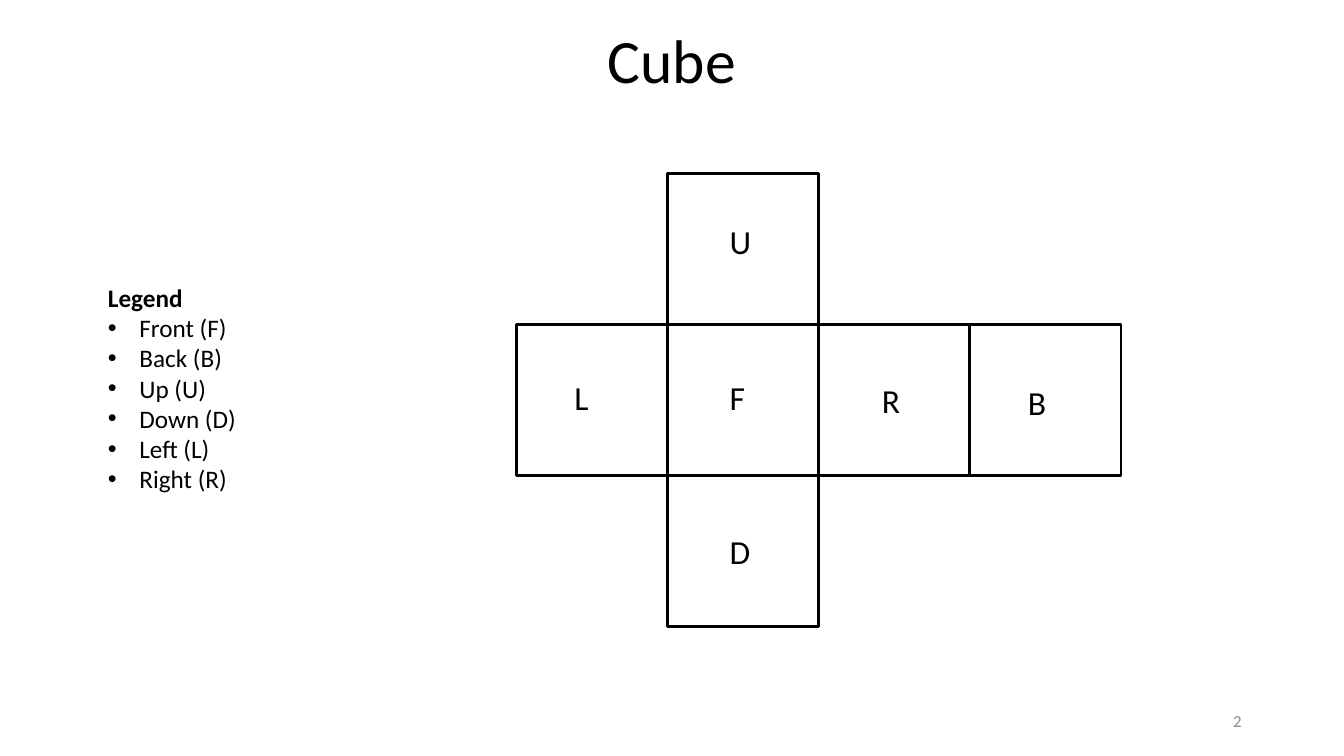
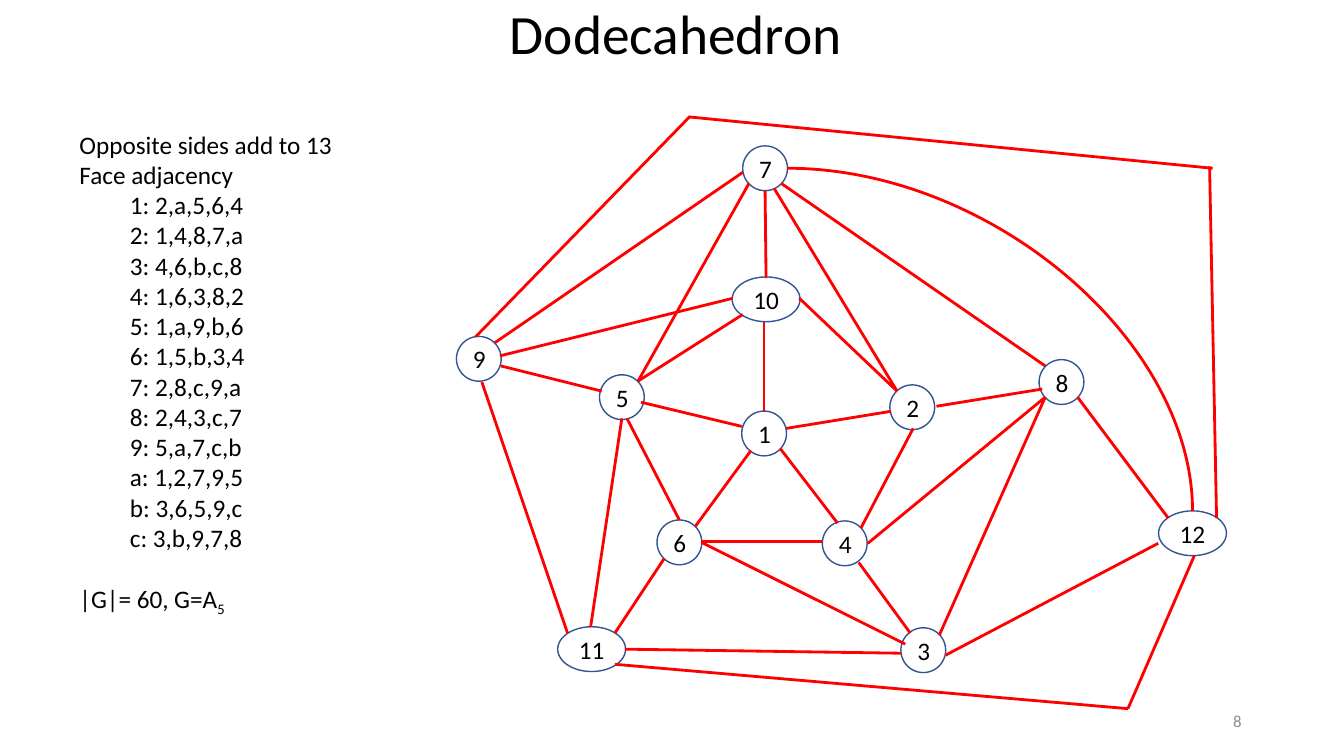
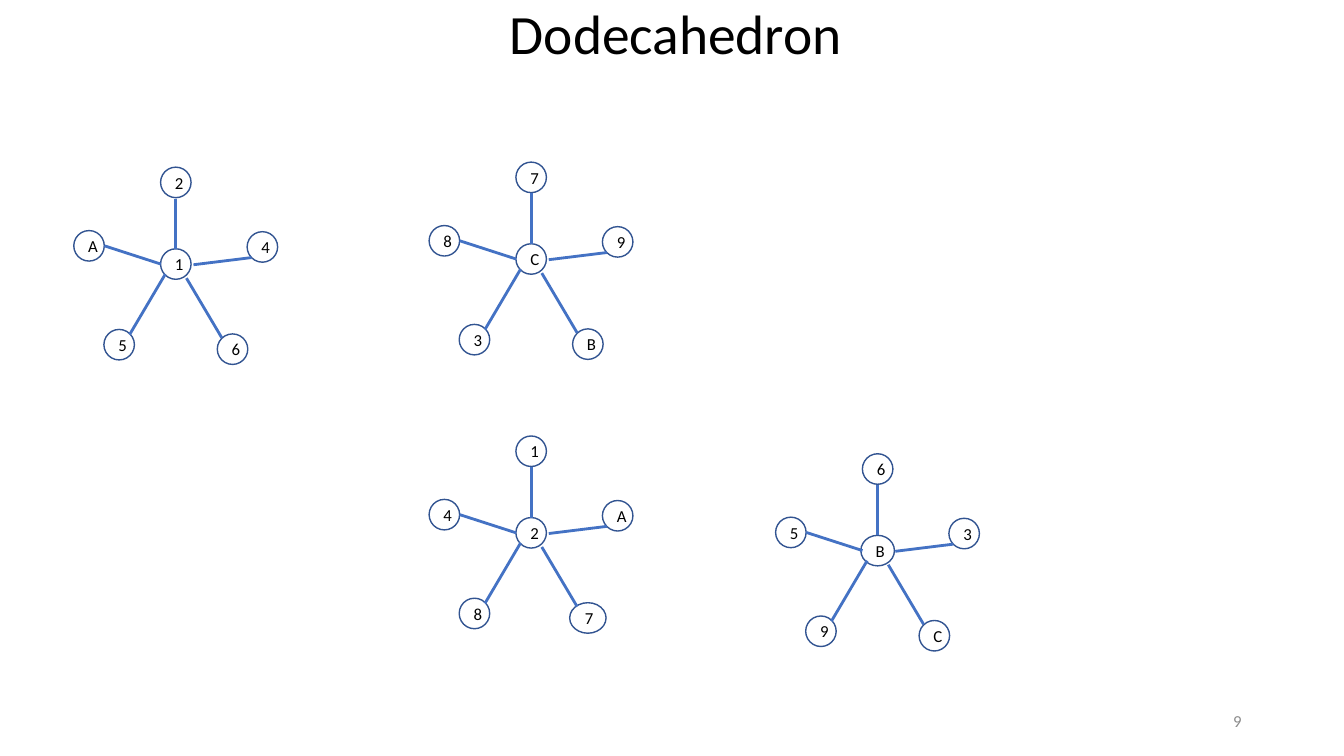
"""Build three slides on the cube and the dodecahedron."""
from lxml import etree
from pptx import Presentation
from pptx.dml.color import RGBColor
from pptx.enum import shapes as s, text as t
from pptx.oxml import ns
from pptx.util import Pt

FONT = "Calibri"
BLACK = RGBColor(0x00, 0x00, 0x00)
GREY = RGBColor(0x8C, 0x8C, 0x8C)
RED = RGBColor(0xFF, 0x00, 0x00)
BLUE = RGBColor(0x44, 0x72, 0xC4)
NAVY = RGBColor(0x32, 0x54, 0x91)

SIDE = 108
FACES = [
    ("F", 1, 1, 514, 265.7),
    ("R", 2, 1, 622.8, 267.8),
    ("L", 0, 1, 403.2, 265.7),
    ("U", 1, 0, 514, 154),
    ("D", 1, 2, 514, 375.8),
    ("B", 3, 1, 727.2, 269.3),
]
LEGEND = ["Front (F)", "Back (B)", "Up (U)", "Down (D)", "Left (L)", "Right (R)"]

PAIRS = [
    "1: 2,a,5,6,4", "2: 1,4,8,7,a", "3: 4,6,b,c,8", "4: 1,6,3,8,2",
    "5: 1,a,9,b,6", "6: 1,5,b,3,4", "7: 2,8,c,9,a", "8: 2,4,3,c,7",
    "9: 5,a,7,c,b", "a: 1,2,7,9,5", "b: 3,6,5,9,c", "c: 3,b,9,7,8",
]
NODES = [
    ("1", 545.8, 309.6), ("10", 547.2, 213.8), ("2", 651.6, 290.9),
    ("4", 603.4, 388.1), ("6", 485.3, 387.4), ("5", 444.2, 283.7),
    ("9", 342, 256.3), ("11", 422.6, 463.7), ("7", 546.5, 120.2),
    ("8", 758.2, 272.9), ("3", 659.5, 464.4), ("12", 851.8, 380.9),
]
EDGES = [
    (545.8, 229.7, 545.8, 293.8), (636.5, 293.8, 561.6, 306),
    (546.5, 136.1, 547.2, 198.7), (598.3, 373.7, 557.3, 320.4),
    (457.9, 287.3, 529.9, 304.6), (496.8, 375.8, 536.4, 321.8),
    (744.5, 277.9, 668.9, 290.2), (650.2, 452.2, 613.4, 401.8),
    (357.8, 261.4, 429.8, 279.4), (439.2, 452.2, 474.5, 398.9),
    (571, 213.1, 640.8, 279.4), (614.9, 377.3, 652.3, 306),
    (587.5, 386.6, 500.4, 386.6), (447.8, 298.8, 485.3, 371.5),
    (530.6, 224.6, 455.8, 272.2), (558, 131, 746.6, 261.4),
    (746.6, 283.7, 671, 453.6), (643.7, 466.6, 446.4, 463.7),
    (353.5, 244.8, 530.6, 123.1), (405.4, 452.2, 344.2, 272.9),
    (834.5, 370.1, 769.7, 283.7), (827.3, 388.1, 675.4, 468),
    (444.2, 298.8, 421.9, 447.8), (501.1, 387.4, 646.6, 460.1),
    (619.9, 388.1, 746.6, 283.7), (535, 131, 455.8, 272.2),
    (553, 134.6, 640.8, 279.4), (523.4, 213.1, 357.1, 254.2),
    (853.2, 396.7, 805.7, 506.2), (339.8, 240.5, 492.5, 83.5),
    (869, 370.1, 864, 118.8), (866.2, 120.2, 491.8, 83.5),
    (805.7, 506.2, 439.2, 474.5),
]

TIPS = [(0, -58.3), (61.8, -12.2), (40.5, 60.8), (-40.5, 57.6), (-62, -13)]
SPOKES = [
    (0, -46.8, 0, -10.8), (12.6, 0.5, 54, -4.6), (32.8, 52.6, 7.6, 10.1),
    (-33, 50.4, -7.5, 7.2), (-51, -13, -10.8, 0),
]
STARS = [
    (125.6, 188.6, "1", "2465A", {}),
    (379.4, 185, "C", "79B38", {}),
    (379.4, 380.6, "2", "1A784", {"7": 26}),
    (626.9, 393.3, "B", "63C95", {"B": 24}),
]


def style(para, size, color=BLACK, bold=False):
    font = para.font
    font.name, font.size, font.bold = FONT, Pt(size), bold
    font.color.rgb = color


def add_text(slide, box, lines, size, color=BLACK, align=None, mid=False):
    frame = slide.shapes.add_textbox(*map(Pt, box)).text_frame
    frame.word_wrap = True
    if mid:
        frame.vertical_anchor = t.MSO_ANCHOR.MIDDLE
    frame.text = "\n".join(lines)
    for para in frame.paragraphs:
        style(para, size, color)
        if align:
            para.alignment = align
    return frame


def indent(para, left, mark=None):
    props = para._p.get_or_add_pPr()
    props.set("marL", str(Pt(left)))
    if mark:
        props.set("indent", str(-Pt(left)))
        face = etree.Element(ns.qn("a:buFont"), typeface="Arial")
        char = etree.Element(ns.qn("a:buChar"), char=mark)
        props.insert(0, face)
        props.insert(1, char)


def add_shape(slide, kind, box, color, width):
    shape = slide.shapes.add_shape(kind, *map(Pt, box))
    shape.shadow.inherit = False
    shape.fill.background()
    shape.line.color.rgb = color
    shape.line.width = Pt(width)
    return shape


def add_node(slide, label, x, y, width, height, size):
    box = (x - width / 2, y - height / 2, width, height)
    node = add_shape(slide, s.MSO_SHAPE.OVAL, box, NAVY, 1)
    node.text_frame.text = label
    para = node.text_frame.paragraphs[0]
    para.alignment = t.PP_ALIGN.CENTER
    style(para, size)


def add_line(slide, ends, color, kind=s.MSO_CONNECTOR.STRAIGHT):
    line = slide.shapes.add_connector(kind, *map(Pt, ends))
    line.line.color.rgb = color
    line.line.width = Pt(2)
    etree.SubElement(line._element.spPr, ns.qn("a:effectLst"))
    return line


def add_slide(deck, title, box, size, number):
    slide = deck.slides.add_slide(deck.slide_layouts[6])
    frame = add_text(slide, box, [title], size, BLACK, t.PP_ALIGN.CENTER, True)
    frame.paragraphs[0].line_spacing = 0.9
    add_text(slide, (678, 500.6, 216, 28.8), [number], 12, GREY,
             t.PP_ALIGN.RIGHT, True)
    return slide


def draw_cube(slide):
    for label, col, row, x, y in FACES:
        box = (368.8 + col * SIDE, 123.8 + row * SIDE, SIDE, SIDE)
        add_shape(slide, s.MSO_SHAPE.RECTANGLE, box, BLACK, 2)
        add_text(slide, (x, y, 34, 36), [label], 24)
    frame = add_text(slide, (70, 198, 120, 160), ["Legend"] + LEGEND, 18)
    head, *items = frame.paragraphs
    head.font.bold = True
    for item in items:
        indent(item, 22.5, "•")


def draw_graph(slide):
    lines = ["Opposite sides add to 13", "Face adjacency", *PAIRS, "|G|= 60, G=A"]
    frame = add_text(slide, (49.7, 88.6, 221.8, 378), lines, 18)
    *paras, last = frame.paragraphs
    for para in paras[2:]:
        indent(para, 36)
    last.space_before = Pt(21.8)
    sub = last.add_run()
    sub.text = "5"
    sub.font._element.set("baseline", "-25000")
    for label, x, y in NODES:
        add_node(slide, label, x, y, 48.5 if len(label) > 1 else 32, 32, 18)
    for ends in EDGES:
        add_line(slide, ends, RED)
    curve = add_line(slide, (562.3, 120.2, 851.8, 365), RED, s.MSO_CONNECTOR.CURVE)
    curve._element.spPr.find(ns.qn("a:prstGeom")).set("prst", "curvedConnector2")


def draw_star(slide, x, y, hub, tips, wide):
    spots = [(hub, 0, 0)] + [(tip, *at) for tip, at in zip(tips, TIPS)]
    for label, dx, dy in spots:
        add_node(slide, label, x + dx, y + dy, wide.get(label, 21.8), 21.8, 12)
    for x1, y1, x2, y2 in SPOKES:
        add_line(slide, (x + x1, y + y1, x + x2, y + y2), BLUE)


def main():
    deck = Presentation()
    deck.slide_width, deck.slide_height = Pt(960), Pt(540)
    draw_cube(add_slide(deck, "Cube", (13.7, 0.7, 932.4, 90), 44, "2"))
    name, box = "Dodecahedron", (18, 3.6, 929.5, 44.6)
    draw_graph(add_slide(deck, name, box, 39.6, "8"))
    stars = add_slide(deck, name, box, 39.6, "9")
    for star in STARS:
        draw_star(stars, *star)
    deck.save("out.pptx")


if __name__ == "__main__":
    main()
